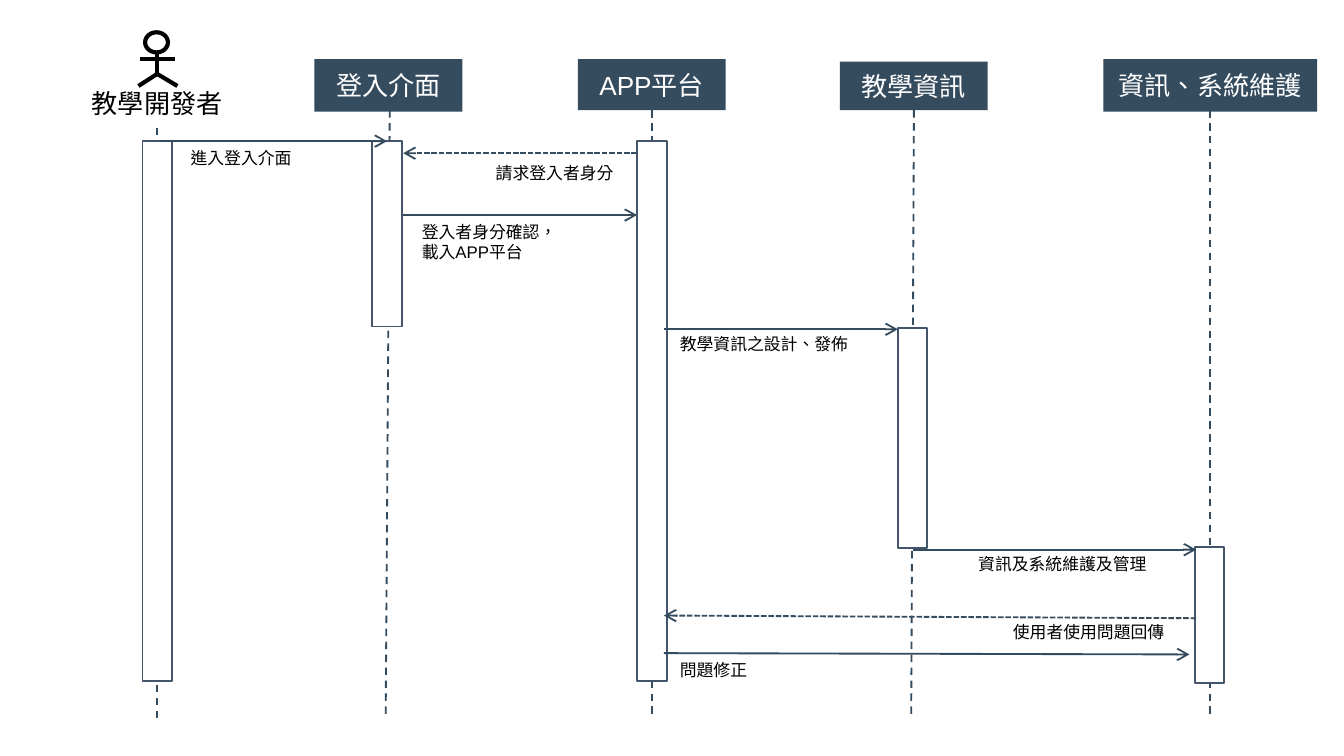
import collections

import lxml.etree
import pptx
import pptx.dml.color
import pptx.enum.dml
import pptx.enum.lang
import pptx.enum.shapes
import pptx.enum.text
import pptx.oxml.ns
import pptx.util

Inches = pptx.util.Inches
RGBColor = pptx.dml.color.RGBColor
Shape = pptx.enum.shapes.MSO_SHAPE
Align = pptx.enum.text.PP_ALIGN
Anchor = pptx.enum.text.MSO_ANCHOR
Dash = pptx.enum.dml.MSO_LINE
Language = pptx.enum.lang.MSO_LANGUAGE_ID
qn = pptx.oxml.ns.qn

BLACK = RGBColor(0x00, 0x00, 0x00)
WHITE = RGBColor(0xFF, 0xFF, 0xFF)
NAVY = RGBColor(0x35, 0x4B, 0x5E)
SLATE = RGBColor(0x44, 0x54, 0x6A)

Box = collections.namedtuple("Box", "left top width height")
Message = collections.namedtuple("Message", "start end dash text label align")

BAR_WIDTH = 0.22
LIFELINE_BOTTOM = 5.34

ACTOR = Box(0.46, 0.24, 1.42, 0.71)
HEADERS = [
    ("登入介面", Box(2.34, 0.44, 1.1, 0.39)),
    ("APP平台", Box(4.3, 0.44, 1.1, 0.38)),
    ("教學資訊", Box(6.25, 0.46, 1.1, 0.36)),
    ("資訊、系統維護", Box(8.21, 0.44, 1.59, 0.39)),
]
LIFELINES = [
    (1.17, 1.17, 0.95),
    (2.9, 2.87, 0.82),
    (4.85, 4.85, 0.82),
    (6.8, 6.78, 0.82),
    (9, 9, 0.82),
]
ACTIVATIONS = [
    (1.06, 1.05, 4.02),
    (2.77, 1.05, 1.38),
    (4.74, 1.05, 4.02),
    (6.68, 2.44, 1.64),
    (8.89, 4.07, 1.01),
]
MESSAGES = [
    Message((1.18, 1.05), (2.88, 1.05), None,
            "進入登入介面", Box(1.32, 1.05, 1.14, 0.25), Align.LEFT),
    Message((4.74, 1.14), (3, 1.14), Dash.SQUARE_DOT,
            "請求登入者身分", Box(3.59, 1.16, 1.15, 0.25), Align.LEFT),
    Message((3, 1.6), (4.74, 1.6), None,
            "登入者身分確認，載入APP平台", Box(3.04, 1.6, 1.15, 0.4), Align.LEFT),
    Message((4.94, 2.45), (6.68, 2.45), None,
            "教學資訊之設計、發佈", Box(4.96, 2.43, 1.58, 0.25), Align.LEFT),
    Message((6.79, 4.09), (8.9, 4.09), None,
            "資訊及系統維護及管理", Box(7.18, 4.07, 1.58, 0.25), Align.LEFT),
    Message((8.9, 4.6), (4.94, 4.58), Dash.SQUARE_DOT,
            "使用者使用問題回傳", Box(7.18, 4.58, 1.58, 0.25), Align.RIGHT),
    Message((4.94, 4.86), (8.85, 4.87), None,
            "問題修正", Box(4.96, 4.86, 1.58, 0.25), Align.LEFT),
]


def add_line(shapes, start, end, color=NAVY, width=1, dash=None, arrow=False):
    connector = shapes.add_connector(
        pptx.enum.shapes.MSO_CONNECTOR.STRAIGHT,
        *(Inches(value) for value in (*start, *end)))
    connector.line.color.rgb = color
    connector.line.width = pptx.util.Pt(width)
    if dash is not None:
        connector.line.dash_style = dash
    properties = connector.element.spPr
    if arrow:
        outline = properties.find(qn("a:ln"))
        lxml.etree.SubElement(outline, qn("a:tailEnd"), type="arrow")
    lxml.etree.SubElement(properties, qn("a:effectLst"))


def add_figure(shapes, kind, box, fill, line=None, width=1):
    shape = shapes.add_shape(kind, *(Inches(value) for value in box))
    shape.shadow.inherit = False
    shape.fill.solid()
    shape.fill.fore_color.rgb = fill
    if line is None:
        shape.line.fill.background()
    else:
        shape.line.color.rgb = line
        shape.line.width = pptx.util.Pt(width)
    return shape


def write_text(shape, text, size, color, align, anchor):
    frame = shape.text_frame
    frame.word_wrap = True
    frame.vertical_anchor = anchor
    paragraph = frame.paragraphs[0]
    paragraph.text = text
    paragraph.alignment = align
    paragraph.font.name = "Arial"
    paragraph.font.size = pptx.util.Pt(size)
    paragraph.font.color.rgb = color
    paragraph.runs[0].font.language_id = Language.TRADITIONAL_CHINESE


def add_label(shapes, box, text, size, align, anchor):
    label = shapes.add_textbox(*(Inches(value) for value in box))
    write_text(label, text, size, BLACK, align, anchor)


def add_actor(slide, box, name):
    shapes = slide.shapes.add_group_shape().shapes
    center = box.left + box.width / 2
    neck, arms, hip, feet = (box.top + drop for drop in (0.15, 0.2, 0.31, 0.4))
    head = Box(center - 0.09, box.top, 0.17, 0.15)
    add_figure(shapes, Shape.OVAL, head, WHITE, BLACK, 2.25)
    limbs = [
        ((center - 0.13, arms), (center + 0.13, arms)),
        ((center, neck), (center, hip)),
        ((center - 0.14, feet), (center, hip)),
        ((center + 0.15, feet), (center, hip)),
    ]
    for start, end in limbs:
        add_line(shapes, start, end, BLACK, 2.25)
    name_box = Box(box.left, box.top + 0.35, box.width, box.height - 0.35)
    add_label(shapes, name_box, name, 14, Align.CENTER, Anchor.MIDDLE)


def add_header(slide, box, name):
    header = add_figure(slide.shapes, Shape.RECTANGLE, box, NAVY)
    write_text(header, name, 14, WHITE, Align.CENTER, Anchor.MIDDLE)
    header.text_frame.margin_left = header.text_frame.margin_right = Inches(0.05)


def add_message(slide, message):
    add_line(slide.shapes, message.start, message.end,
             dash=message.dash, arrow=True)
    add_label(slide.shapes, message.label, message.text, 9,
              message.align, Anchor.TOP)


def add_sequence_diagram(slide):
    add_actor(slide, ACTOR, "教學開發者")
    for name, box in HEADERS:
        add_header(slide, box, name)
    for top_x, bottom_x, top in LIFELINES:
        add_line(slide.shapes, (top_x, top), (bottom_x, LIFELINE_BOTTOM),
                 dash=Dash.DASH)
    for left, top, height in ACTIVATIONS:
        bar = Box(left, top, BAR_WIDTH, height)
        add_figure(slide.shapes, Shape.RECTANGLE, bar, WHITE, SLATE)
    for message in MESSAGES:
        add_message(slide, message)


def main():
    presentation = pptx.Presentation()
    presentation.slide_width = Inches(10)
    presentation.slide_height = presentation.slide_width * 9 // 16
    slide = presentation.slides.add_slide(presentation.slide_layouts[6])
    add_sequence_diagram(slide)
    presentation.save("out.pptx")


if __name__ == "__main__":
    main()
